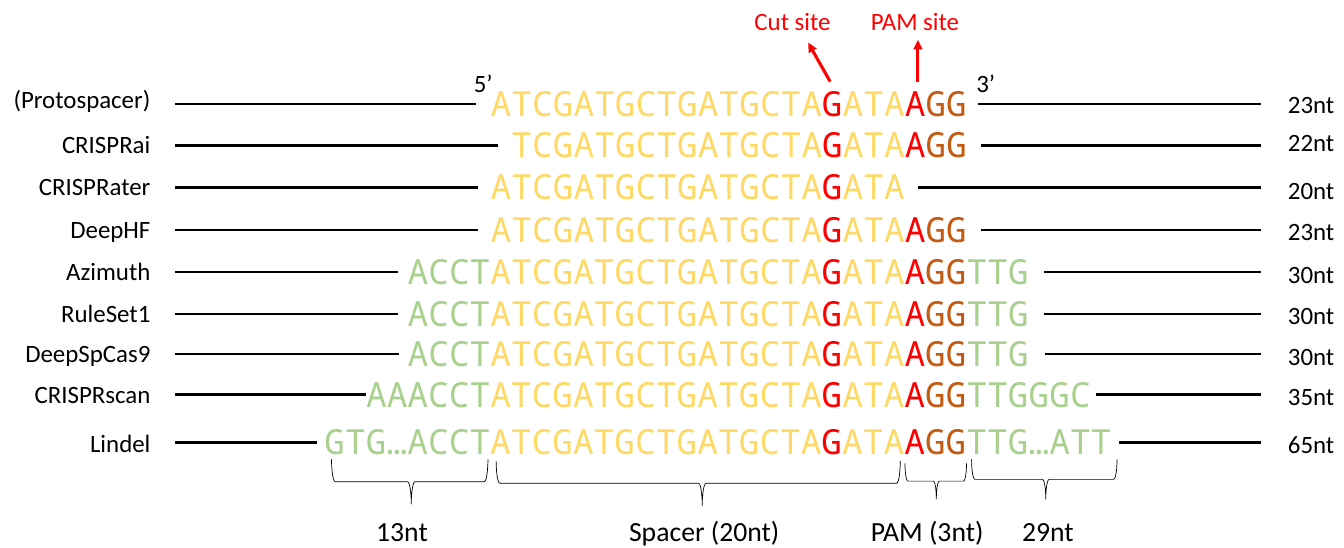
"""Build a slide comparing the sequence windows used by guide RNA scoring tools."""
from dataclasses import dataclass

from lxml.etree import SubElement
from pptx import Presentation
from pptx.dml.color import RGBColor
from pptx.enum.shapes import MSO_CONNECTOR, MSO_SHAPE
from pptx.enum.text import MSO_AUTO_SIZE, PP_ALIGN
from pptx.oxml.ns import qn
from pptx.util import Cm, Pt


@dataclass(frozen=True)
class Theme:
    ink: str = "000000"
    spacer: str = "FFD966"
    site: str = "FF0000"
    pam: str = "C55A11"
    flank: str = "A9D18E"
    font: str = "Calibri"
    mono: str = "Noto Sans Mono"
    label: int = 18
    caption: int = 20
    bases: int = 25
    rule: float = 1.75
    arrow: float = 2.25
    brace: float = 0.5


class Diagram:
    def __init__(self, slide, theme):
        self.s = slide
        self.theme = theme

    def text(self, x, y, w, h, runs, size, font=None, right=False):
        sp = self.s.shapes.add_textbox(Cm(x), Cm(y), Cm(w), Cm(h))
        tf = sp.text_frame
        tf.word_wrap = True
        tf.auto_size = MSO_AUTO_SIZE.SHAPE_TO_FIT_TEXT
        p = tf.paragraphs[0]
        p.font.size = Pt(size)
        p.font.name = font or self.theme.font
        if right:
            p.alignment = PP_ALIGN.RIGHT
            tf.margin_left = 0
        else:
            tf.margin_right = 0
        for content, color in runs:
            r = p.add_run()
            r.text = content
            r.font.color.rgb = RGBColor.from_string(color)

    def label(self, x, y, w, content, color=None, right=False):
        self.text(x, y, w, 1.03, [(content, color or self.theme.ink)],
                  self.theme.label, right=right)

    def caption(self, x, y, w, content):
        self.text(x, y, w, 1.12, [(content, self.theme.ink)], self.theme.caption)

    def sequence(self, y, before, spacer, pam, after):
        t = self.theme
        cut = len(spacer) - 4
        parts = [(before, t.flank), (spacer[:cut], t.spacer), (spacer[cut], t.site),
                 (spacer[cut + 1:], t.spacer), (pam[:1], t.site), (pam[1:], t.pam),
                 (after, t.flank)]
        runs = [part for part in parts if part[0]]
        missing = len(SPACER) - len(spacer)
        x = SPACER_X + (missing - len(before)) * BASE_W
        w = sum(len(content) for content, _ in runs) * BASE_W + 0.7
        self.text(x, y, w, 1.32, runs, t.bases, t.mono)

    def line(self, x1, y1, x2, y2, color, width):
        sp = self.s.shapes.add_connector(
            MSO_CONNECTOR.STRAIGHT, Cm(x1), Cm(y1), Cm(x2), Cm(y2))
        sp.line.color.rgb = RGBColor.from_string(color)
        sp.line.width = Pt(width)
        SubElement(sp._element.spPr, qn("a:effectLst"))
        return sp

    def rule(self, x1, x2, y):
        self.line(x1, y, x2, y, self.theme.ink, self.theme.rule)

    def arrow(self, x1, y1, x2, y2):
        sp = self.line(x1, y1, x2, y2, self.theme.site, self.theme.arrow)
        SubElement(sp.line._get_or_add_ln(), qn("a:tailEnd"), type="triangle")

    def brace(self, x, y, w, h):
        sp = self.s.shapes.add_shape(
            MSO_SHAPE.LEFT_BRACE, Cm(x + (w - h) / 2), Cm(y + (h - w) / 2), Cm(h), Cm(w))
        sp.rotation = 270
        sp.adjustments[1] = 0.51
        sp.shadow.inherit = False
        sp.fill.background()
        sp.line.color.rgb = RGBColor.from_string(self.theme.ink)
        sp.line.width = Pt(self.theme.brace)


SPACER = "ATCGATGCTGATGCTAGATA"
PAM = "AGG"
SPACER_X = 12.27
BASE_W = 0.53
RULE_START, RULE_END = 4.47, 32.18
LABEL_W = 4.09
COUNT_X, COUNT_W = 32.61, 1.67

# name, count, (sequence, name, count tops), (left rule end, right rule start), bases
ROWS = [
    ("(Protospacer)", "23nt", (1.96, 2.01, 2.13), (12.14, 24.94), ("", SPACER, PAM, "")),
    ("CRISPRai", "22nt", (3.02, 3.15, 3.1), (12.7, 25.02), ("", SPACER[1:], PAM, "")),
    ("CRISPRater", "20nt", (4.09, 4.22, 4.32), (12.19, 23.42), ("", SPACER, "", "")),
    ("DeepHF", "23nt", (5.18, 5.31, 5.38), (12.19, 25.02), ("", SPACER, PAM, "")),
    ("Azimuth", "30nt", (6.25, 6.4, 6.48), (10.16, 26.64), ("ACCT", SPACER, PAM, "TTG")),
    ("RuleSet1", "30nt", (7.32, 7.47, 7.52), (10.16, 26.64), ("ACCT", SPACER, PAM, "TTG")),
    ("DeepSpCas9", "30nt", (8.33, 8.48, 8.56), (10.19, 26.67), ("ACCT", SPACER, PAM, "TTG")),
    ("CRISPRscan", "35nt", (9.37, 9.53, 9.58), (9.35, 27.97),
     ("AAACCT", SPACER, PAM, "TTGGGC")),
    ("Lindel", "65nt", (10.59, 10.77, 10.8), (8.08, 28.55),
     ("GTG…ACCT", SPACER, PAM, "TTG…ATT")),
]
REGIONS = [
    ("13nt", (9.35, 2.13), (8.46, 11.71, 3.99, 1.14)),
    ("Spacer (20nt)", (15.8, 5.72), (12.66, 11.75, 10.31, 1.14)),
    ("PAM (3nt)", (21.97, 3.86), (23.09, 11.81, 1.57, 0.91)),
    ("29nt", (25.83, 2.13), (24.79, 11.71, 3.71, 1.02)),
]
SITES = [
    ("Cut site", (19, 2.82), (21.18, 2.08, 20.62, 1.09)),
    ("PAM site", (21.97, 4.39), (23.42, 2.08, 23.42, 1.02)),
]

prs = Presentation()
prs.slide_width, prs.slide_height = Cm(34.29), Cm(13.97)
theme = Theme()
d = Diagram(prs.slides.add_slide(prs.slide_layouts[6]), theme)

for name, count, (top, name_y, count_y), (left_end, right_start), bases in ROWS:
    d.sequence(top, *bases)
    d.rule(RULE_START, left_end, top + 0.69)
    d.rule(right_start, RULE_END, top + 0.69)
    d.label(0, name_y, LABEL_W, name, right=True)
    d.label(COUNT_X, count_y, COUNT_W, count)

for name, (x, w), brace in REGIONS:
    d.brace(*brace)
    d.caption(x, 12.98, w, name)

for name, (x, w), arrow in SITES:
    d.label(x, 0.03, w, name, theme.site)
    d.arrow(*arrow)

for end, x in (("5’", 11.84), ("3’", 24.66)):
    d.label(x, 1.6, 2.82, end)

prs.save("out.pptx")
